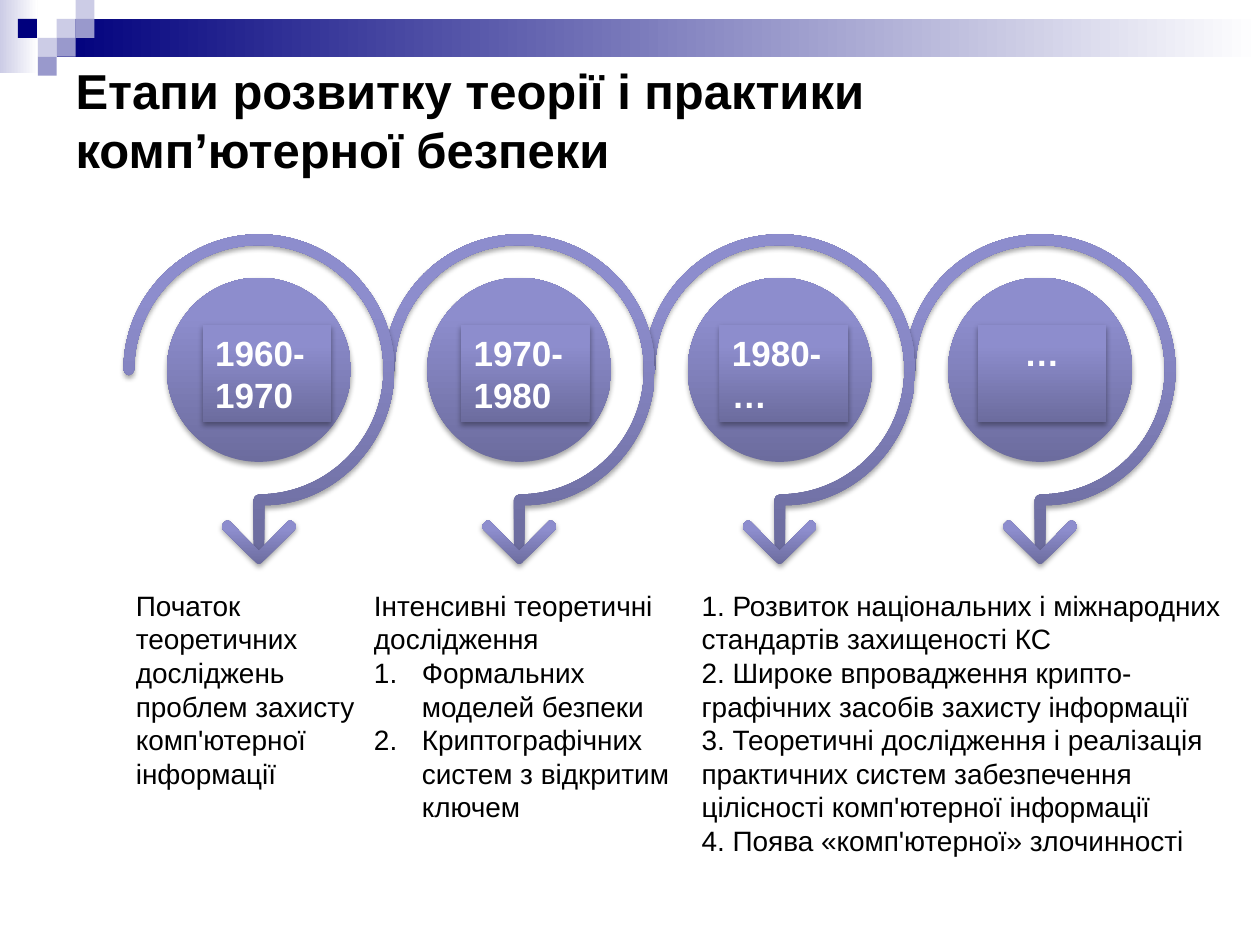
from lxml.etree import SubElement
from pptx import Presentation
from pptx.dml.color import RGBColor
from pptx.enum.shapes import MSO_SHAPE
from pptx.enum.text import MSO_ANCHOR, MSO_AUTO_SIZE, PP_ALIGN
from pptx.oxml.ns import qn
from pptx.util import Inches, Pt

NAVY = RGBColor(0x00, 0x00, 0x7D)
LILAC = RGBColor(0x99, 0x99, 0xCC)
PALE = RGBColor(0xCC, 0xCC, 0xE6)
WHITE = RGBColor(0xFF, 0xFF, 0xFF)
BLACK = RGBColor(0x00, 0x00, 0x00)
DUSK = RGBColor(0x6C, 0x6C, 0x9E)
IRIS = RGBColor(0x8D, 0x8D, 0xCD)
SHEEN = RGBColor(0x8C, 0x8C, 0xCF)

FADE = ((0, DUSK), (80, IRIS), (100, SHEEN))
COL = Inches(1)
BOW = 0.55
DATES = ("1960-1970", "1970-1980", "1980- …", "…")
NOTES = (
    ((0.98, 4.62, 1.97, 1.72), (
        "Початок теоретичних досліджень проблем захисту комп'ютерної інформації",), 1),
    ((2.87, 4.62, 2.6, 1.99), (
        "Інтенсивні теоретичні дослідження",
        "Формальних моделей безпеки",
        "Криптографічних систем з відкритим ключем"), 1),
    ((5.47, 4.62, 4.53, 2.29), (
        "1. Розвиток національних і міжнародних стандартів захищеності КС",
        "2. Широке впровадження крипто-графічних засобів захисту інформації",
        "3. Теоретичні дослідження і реалізація практичних систем забезпечення "
        "цілісності комп'ютерної інформації",
        "4. Поява «комп'ютерної» злочинності"), 4),
)


def cells(*vals):
    """Turn grid columns and rows into slide lengths."""
    return [round(val * COL) for val in vals]


def blend(shape, stops, angle):
    """Fill a shape with a linear gradient, angle counted anticlockwise."""
    shape.fill.gradient()
    shape.fill.gradient_angle = angle
    items = next(shape._element.spPr.iter(qn("a:gsLst")))
    for item in list(items):
        items.remove(item)
    for share, color in stops:
        stop = SubElement(items, qn("a:gs"), pos=str(share * 1000))
        SubElement(stop, qn("a:srgbClr"), val=str(color))


def bare(shape):
    """Take away the outline and the shadow."""
    shape.line.fill.background()
    shape.shadow.inherit = False
    return shape


def gloss(shape):
    """Give a shape the lilac gradient and a soft shadow below."""
    bare(shape)
    blend(shape, FADE, 90)
    group = shape._element.spPr.find(qn("a:effectLst"))
    cast = SubElement(group, qn("a:outerShdw"), blurRad=str(Pt(3.1)),
                      dist=str(Pt(1.8)), dir="5400000", rotWithShape="0")
    tint = SubElement(cast, qn("a:srgbClr"), val=str(BLACK))
    SubElement(tint, qn("a:alpha"), val="35000")


def style(para, size, color, bold=False, align=PP_ALIGN.LEFT):
    """Set the font and alignment of a paragraph."""
    para.alignment = align
    para.font.name = "Arial"
    para.font.size = Pt(size)
    para.font.bold = bold
    para.font.color.rgb = color


def block(slide, box):
    """Add a plain rectangle."""
    return bare(slide.shapes.add_shape(MSO_SHAPE.RECTANGLE, *cells(*box)))


def header(slide, box):
    """Draw the top band with its checker of small squares."""
    left, top, wide, high = box
    unit = high / 4
    blend(block(slide, (left, top, 2 * unit, 0.97 * high)), ((0, PALE), (100, WHITE)), 0)
    band = block(slide, (left + 3 * unit, top + unit, wide - 3 * unit, 2 * unit))
    blend(band, ((0, NAVY), (100, WHITE)), 0)
    for col, row, color in ((3, 1, PALE), (4, 0, PALE), (4, 1, LILAC), (2, 2, PALE),
                            (0.95, 1, NAVY), (3, 2, LILAC), (2, 3, LILAC)):
        tile = block(slide, (left + col * unit, top + row * unit, unit, unit))
        tile.fill.solid()
        tile.fill.fore_color.rgb = color


def heading(slide, box):
    """Place the title."""
    title = slide.shapes.title
    title.left, title.top, title.width, title.height = cells(*box)
    frame = title.text_frame
    frame.text = "Етапи розвитку теорії і практики комп’ютерної безпеки"
    frame.auto_size = MSO_AUTO_SIZE.NONE
    frame.vertical_anchor = MSO_ANCHOR.MIDDLE
    style(frame.paragraphs[0], 28, BLACK, True)


def outline(slide, points, kinds):
    """Add a closed glossy outline of lines (L) and three-point curves (C)."""
    first, *rest = [cells(*point) for point in points]
    maker = slide.shapes.build_freeform(*first, scale=1.0)
    maker.add_line_segments(rest)
    shape = maker.convert_to_shape()
    steps = iter(list(shape._element.iter(qn("a:lnTo"))))
    for kind in kinds:
        step = next(steps)
        if kind == "C":
            step.tag = qn("a:cubicBezTo")
            for more in (next(steps), next(steps)):
                step.append(more[0])
                more.getparent().remove(more)
    gloss(shape)


def turn(size, start, end):
    """List the three points of a quarter turn between two unit directions."""
    (ax, ay), (bx, by) = start, end
    return [((ax + BOW * bx) * size, (ay + BOW * by) * size),
            ((bx + BOW * ax) * size, (by + BOW * ay) * size), (bx * size, by * size)]


def stage(slide, box):
    """Draw a disc, the hook around it and the arrowhead below."""
    left, top, wide, high = box
    mid_x, mid_y = left + wide / 2, top + wide / 2
    disc = 0.34 * wide
    gloss(slide.shapes.add_shape(MSO_SHAPE.OVAL, *cells(
        mid_x - disc, mid_y - disc, 2 * disc, 2 * disc)))
    west, north, east, south = (-1, 0), (0, -1), (1, 0), (0, 1)
    big, half = wide / 2, 0.02 * wide
    small = big - 2 * half
    foot = high - big - 0.05 * wide
    hook = ([(0, -big)] + turn(big, north, west)
            + [(-big, BOW * half), (half * BOW - big, half), (half - big, half),
               (-small - half * BOW, half), (-small, BOW * half), (-small, 0)]
            + turn(small, west, north) + turn(small, north, east)
            + turn(small, east, south)
            + [(-BOW * half, small), (-half, small + half * BOW), (-half, small + half),
               (-half, foot), (half, foot), (half, big)]
            + turn(big, south, east) + turn(big, east, north))
    outline(slide, [(mid_x + x, mid_y + y) for x, y in hook], "CCCCCCCLLLCC")
    wing = [(0, 0.05), (0.102, 0.153), (0.107, 0.158), (0.11, 0.163), (0.116, 0.163),
            (0.12, 0.163), (0.126, 0.158), (0.13, 0.153), (0.139, 0.147),
            (0.139, 0.133), (0.13, 0.126), (0.014, 0.01), (0.01, 0.005),
            (0.005, 0), (0, 0)]
    kinds = "LCCCLC"
    head = wing + [(-x, y) for x, y in wing[-2::-1]]
    outline(slide, [(mid_x + x * wide, top + high - y * wide) for x, y in head],
            kinds + kinds[::-1])


def label(slide, box, text):
    """Add a glossy plate with a date."""
    plate = slide.shapes.add_shape(MSO_SHAPE.RECTANGLE, *cells(*box))
    gloss(plate)
    frame = plate.text_frame
    frame.word_wrap = True
    frame.vertical_anchor = MSO_ANCHOR.TOP
    frame.text = text
    align = PP_ALIGN.CENTER if text == "…" else PP_ALIGN.LEFT
    style(frame.paragraphs[0], 20, WHITE, True, align)


def note(slide, box, lines, plain):
    """Add a text box, numbering the lines after the plain ones."""
    frame = slide.shapes.add_textbox(*cells(*box)).text_frame
    frame.word_wrap = True
    frame.text = "\n".join(lines)
    for spot, para in enumerate(frame.paragraphs):
        style(para, 16, BLACK)
        if spot >= plain:
            props = para._p.get_or_add_pPr()
            props.set("marL", str(Inches(0.38)))
            props.set("indent", str(-Inches(0.38)))
            SubElement(props, qn("a:buAutoNum"), type="arabicPeriod")
            props.append(props.find(qn("a:defRPr")))


def main():
    """Build and save the slide."""
    deck = Presentation()
    deck.slide_width, deck.slide_height = cells(10, 7.5)
    slide = deck.slides.add_slide(deck.slide_layouts[5])
    header(slide, (0, 0, 10, 0.6))
    heading(slide, (0.5, 0.5, 9, 0.89))
    for spot in reversed(range(len(DATES))):
        stage(slide, (0.98 + 6.2 * spot / 3, 1.86, 2.15, 2.62))
    for spot, text in enumerate(DATES):
        label(slide, (1.61 + 2.05 * spot, 2.58, 1.02, 0.77), text)
    for box, lines, plain in NOTES:
        note(slide, box, lines, plain)
    deck.save("out.pptx")


if __name__ == "__main__":
    main()
